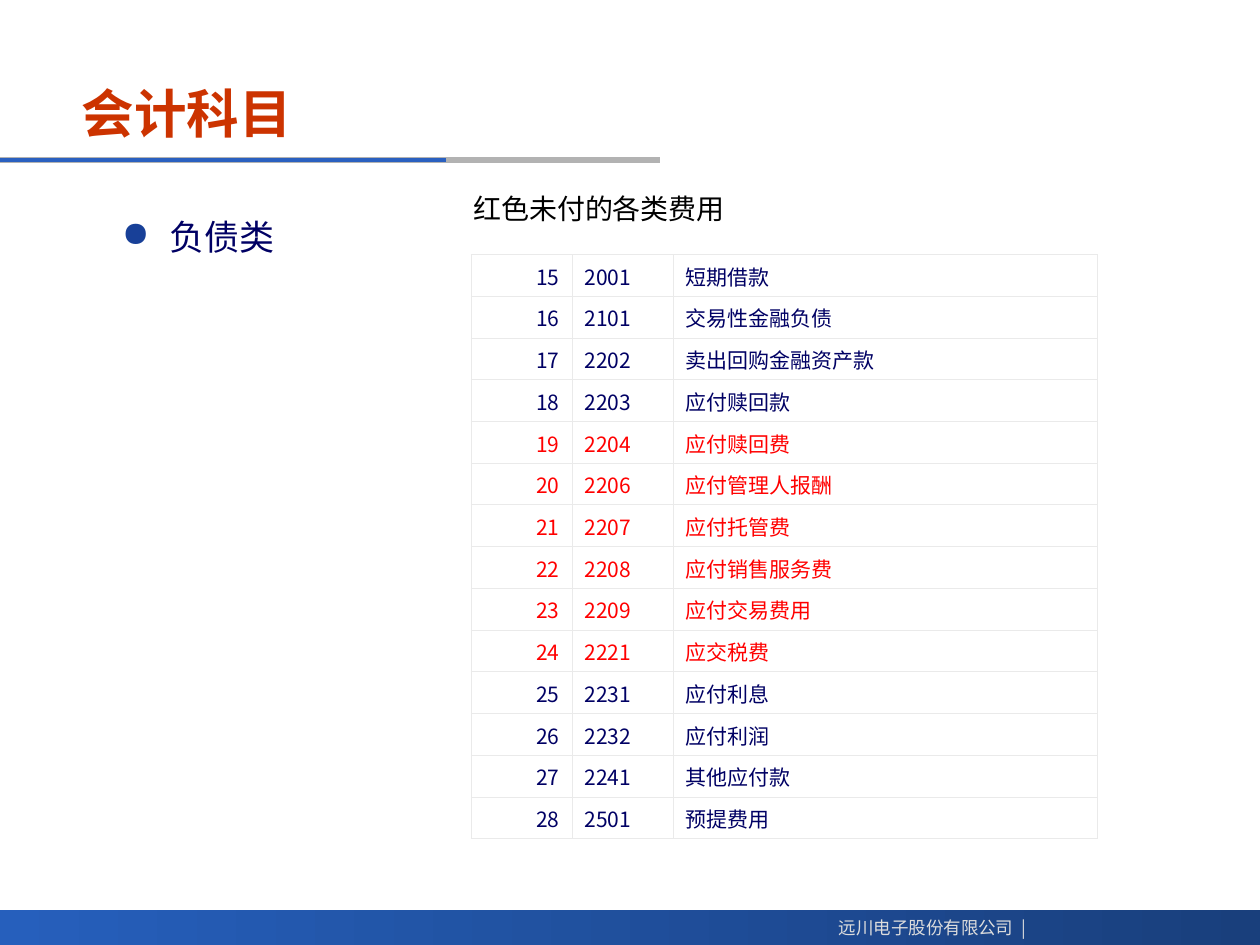
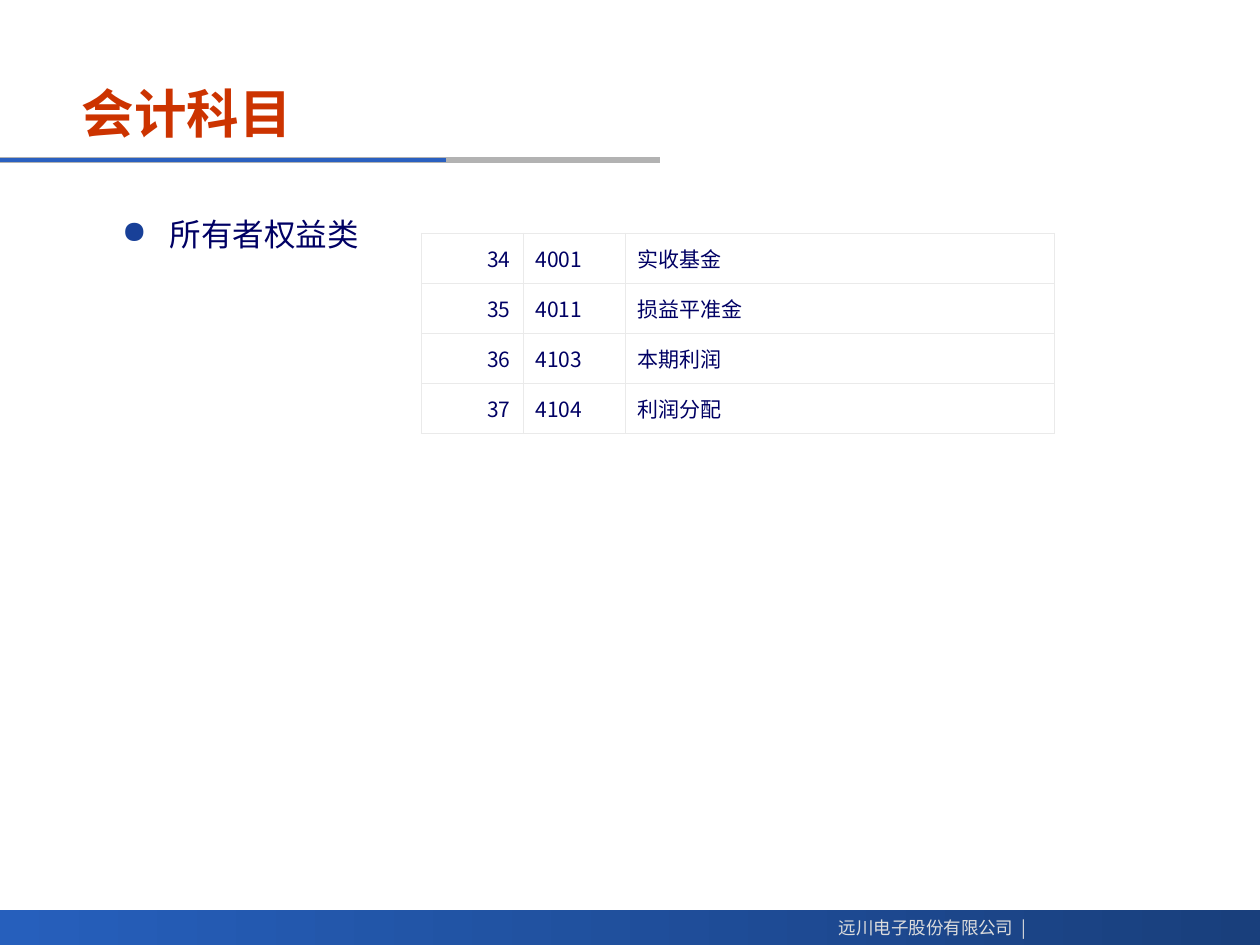
"""Build two slides listing the liability and equity accounts of a fund."""
import lxml.etree
import pptx
import pptx.dml.color
import pptx.enum.shapes
import pptx.enum.text
import pptx.oxml.ns
import pptx.util

Inches = pptx.util.Inches
Pt = pptx.util.Pt
ALIGN = pptx.enum.text.PP_ALIGN
ANCHOR = pptx.enum.text.MSO_ANCHOR

CJK = "Noto Sans CJK SC"
NAVY, RED, GRID = "000064", "FF0000", "EAEAEA"
BULLET = "184098"
BAND_STOPS = [("193F7C", 0), ("265FBC", 1)]
TITLE_RULES = [(5.24, "B2B2B2", 3), (3.54, "2A60C0", 2.25)]
RULE_TOP = 1.27
HANGING = 0.38

TITLE = "会计科目"
FOOTER = "远川电子股份有限公司  |"
TITLE_STYLE = {"size": 30, "color": "CC3300", "bold": True}
FOOTER_STYLE = {"size": 10, "color": "DDDDDD"}
CELL_STYLE = {"size": 12}
NOTE_STYLE = {"size": 16, "color": "000000", "latin": "Arial"}

SLIDES = [
    {
        "category": "负债类",
        "category_size": 20,
        "note": "红色未付的各类费用",
        "table_box": (3.74, 2.02, 4.64),
        "columns": (0.8, 0.8, 3.37),
        "first_number": 15,
        "unpaid_fees": {"2204", "2206", "2207", "2208", "2209", "2221"},
        "accounts": [
            ("2001", "短期借款"),
            ("2101", "交易性金融负债"),
            ("2202", "卖出回购金融资产款"),
            ("2203", "应付赎回款"),
            ("2204", "应付赎回费"),
            ("2206", "应付管理人报酬"),
            ("2207", "应付托管费"),
            ("2208", "应付销售服务费"),
            ("2209", "应付交易费用"),
            ("2221", "应交税费"),
            ("2231", "应付利息"),
            ("2232", "应付利润"),
            ("2241", "其他应付款"),
            ("2501", "预提费用"),
        ],
    },
    {
        "category": "所有者权益类",
        "category_size": 18,
        "note": None,
        "table_box": (3.34, 1.85, 1.59),
        "columns": (0.81, 0.81, 3.41),
        "first_number": 34,
        "unpaid_fees": set(),
        "accounts": [
            ("4001", "实收基金"),
            ("4011", "损益平准金"),
            ("4103", "本期利润"),
            ("4104", "利润分配"),
        ],
    },
]


def rgb(value):
    return pptx.dml.color.RGBColor.from_string(value)


def add_xml(parent, tag, **attributes):
    return lxml.etree.SubElement(parent, pptx.oxml.ns.qn(tag), attributes)


def write(frame, text, size, color, bold=False, latin=CJK, **paragraph_format):
    paragraph = frame.paragraphs[0]
    for name, value in paragraph_format.items():
        setattr(paragraph, name, value)
    run = paragraph.add_run()
    run.text = text
    for name, value in {"size": Pt(size), "bold": bold, "name": latin}.items():
        setattr(run.font, name, value)
    run.font.color.rgb = rgb(color)
    add_xml(run.font._element, "a:ea", typeface=CJK)
    return paragraph


def add_text(slide, box, text, style, wrap=True, anchor=ANCHOR.TOP, **paragraph_format):
    frame = slide.shapes.add_textbox(*map(Inches, box)).text_frame
    frame.word_wrap = wrap
    frame.vertical_anchor = anchor
    return write(frame, text, **style, **paragraph_format)


def hang(paragraph, bullet=None):
    properties = paragraph._p.get_or_add_pPr()
    properties.set("marL", str(Inches(HANGING)))
    properties.set("indent", str(-Inches(HANGING)))
    if bullet:
        add_xml(add_xml(properties, "a:buClr"), "a:srgbClr", val=BULLET)
        add_xml(properties, "a:buChar", char=bullet)


def add_frame(slide):
    band = slide.shapes.add_shape(
        pptx.enum.shapes.MSO_SHAPE.RECTANGLE, *map(Inches, (0, 7.22, 10, 0.28)))
    band.shadow.inherit = False
    band.line.fill.background()
    band.fill.gradient()
    band.fill.gradient_angle = 180
    for stop, (color, position) in zip(band.fill.gradient_stops, BAND_STOPS):
        stop.color.rgb = rgb(color)
        stop.position = position
    for end, color, width in TITLE_RULES:
        rule = slide.shapes.add_connector(
            pptx.enum.shapes.MSO_CONNECTOR.STRAIGHT,
            *map(Inches, (0, RULE_TOP, end, RULE_TOP)))
        rule.line.color.rgb = rgb(color)
        rule.line.width = Pt(width)
        add_xml(rule._element.spPr, "a:effectLst")
    add_text(slide, (6.53, 7.23, 1.71, 0.27), FOOTER, FOOTER_STYLE,
             wrap=False, alignment=ALIGN.RIGHT)
    add_text(slide, (0.55, 0.56, 6.92, 0.67), TITLE, TITLE_STYLE, anchor=ANCHOR.MIDDLE)


def format_cell(cell):
    cell.vertical_anchor = ANCHOR.MIDDLE
    properties = cell._tc.get_or_add_tcPr()
    for side in ("a:lnL", "a:lnR", "a:lnT", "a:lnB"):
        border = add_xml(properties, side, w=str(Pt(0.45)))
        add_xml(add_xml(border, "a:solidFill"), "a:srgbClr", val=GRID)
    cell.fill.background()


def add_account_table(slide, content):
    left, top, height = content["table_box"]
    columns, accounts = content["columns"], content["accounts"]
    table = slide.shapes.add_table(
        len(accounts), len(columns),
        *map(Inches, (left, top, sum(columns), height))).table
    table.first_row = table.horz_banding = False
    for column, width in zip(table.columns, columns):
        column.width = Inches(width)
    for number, (row, account) in enumerate(
            zip(table.rows, accounts), content["first_number"]):
        row.height = Inches(height / len(accounts))
        color = RED if account[0] in content["unpaid_fees"] else NAVY
        for index, (cell, text) in enumerate(zip(row.cells, (str(number), *account))):
            format_cell(cell)
            write(cell.text_frame, text, **CELL_STYLE, color=color, space_after=Pt(3),
                  alignment=ALIGN.LEFT if index else ALIGN.RIGHT)


def build_slide(presentation, content):
    slide = presentation.slides.add_slide(presentation.slide_layouts[6])
    add_frame(slide)
    size = content["category_size"]
    gap = Pt(size / 4)
    category = add_text(
        slide, (0.87, 1.66, 4.07, 5.2), content["category"],
        {"size": size, "color": NAVY, "latin": "Arial"},
        space_before=gap, space_after=gap)
    hang(category, "●")
    add_account_table(slide, content)
    if content["note"]:
        hang(add_text(slide, (3.66, 1.47, 4.96, 0.37), content["note"], NOTE_STYLE,
                      space_before=Pt(4)))


def main():
    presentation = pptx.Presentation()
    presentation.slide_width = Inches(10)
    presentation.slide_height = Inches(7.5)
    for content in SLIDES:
        build_slide(presentation, content)
    presentation.save("out.pptx")


if __name__ == "__main__":
    main()
